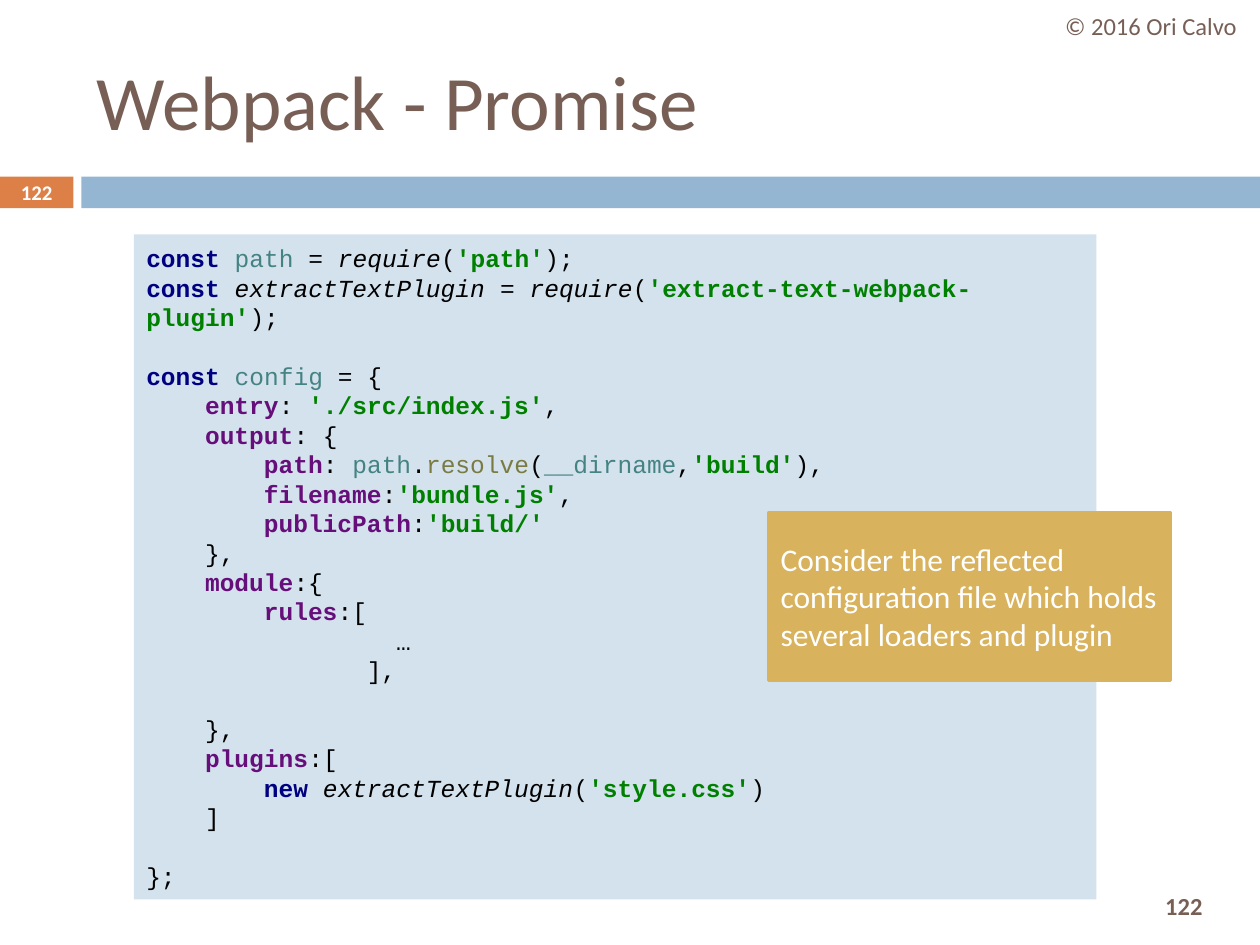
"""Build the slide showing a webpack configuration with a callout."""
from pptx import Presentation
from pptx.dml.color import RGBColor
from pptx.enum.shapes import MSO_SHAPE
from pptx.enum.text import MSO_ANCHOR, PP_ALIGN
from pptx.util import Pt

COLORS = {
    "brown": "775F55", "orange": "DD8047", "blue": "94B6D2", "white": "FFFFFF",
    "panel": "D4E2ED", "gold": "D8B25C", "black": "000000", "navy": "000080",
    "teal": "458383", "green": "008000", "purple": "660E7A", "olive": "7A7A43",
}
STYLES = {
    "keyword": ("navy", True, False),
    "variable": ("teal", False, False),
    "plain": ("black", False, False),
    "call": ("black", False, True),
    "string": ("green", True, False),
    "property": ("purple", True, False),
    "method": ("olive", False, False),
}
TITLE = "Webpack - Promise"
NUMBER = "122"
COPYRIGHT = "© 2016 Ori Calvo"
CALLOUT = "Consider the reflected configuration file which holds several loaders and plugin"
CODE_SIZE = 14
CHARACTER = 8.4
LINE = 16.8

# Each line: indent in characters, blank lines above, styled spans
CODE = [
    (0, 0, [("keyword", "const "), ("variable", "path "), ("plain", "= "),
            ("call", "require"), ("plain", "("), ("string", "'path'"), ("plain", ");")]),
    (0, 0, [("keyword", "const "), ("call", "extractTextPlugin "), ("plain", "= "),
            ("call", "require"), ("plain", "("),
            ("string", "'extract-text-webpack-plugin'"), ("plain", ");")]),
    (0, 1, [("keyword", "const "), ("variable", "config "), ("plain", "= {")]),
    (4, 0, [("property", "entry"), ("plain", ": "), ("string", "'./src/index.js'"),
            ("plain", ",")]),
    (4, 0, [("property", "output"), ("plain", ": {")]),
    (8, 0, [("property", "path"), ("plain", ": "), ("variable", "path"), ("plain", "."),
            ("method", "resolve"), ("plain", "("), ("variable", "__dirname"),
            ("plain", ","), ("string", "'build'"), ("plain", "),")]),
    (8, 0, [("property", "filename"), ("plain", ":"), ("string", "'bundle.js'"),
            ("plain", ",")]),
    (8, 0, [("property", "publicPath"), ("plain", ":"), ("string", "'build/'")]),
    (4, 0, [("plain", "},")]),
    (4, 0, [("property", "module"), ("plain", ":{")]),
    (8, 0, [("property", "rules"), ("plain", ":[")]),
    (17, 0, [("plain", "…")]),
    (15, 0, [("plain", "],")]),
    (4, 1, [("plain", "},")]),
    (4, 0, [("property", "plugins"), ("plain", ":[")]),
    (8, 0, [("keyword", "new "), ("call", "extractTextPlugin"), ("plain", "("),
            ("string", "'style.css'"), ("plain", ")")]),
    (4, 0, [("plain", "]")]),
    (0, 1, [("plain", "};")]),
]


def color(name):
    """Return the named colour."""
    return RGBColor.from_string(COLORS[name])


def add_block(slide, bounds, fill, outline=None):
    """Add a flat filled rectangle."""
    block = slide.shapes.add_shape(MSO_SHAPE.RECTANGLE, *map(Pt, bounds))
    block.shadow.inherit = False
    block.fill.solid()
    block.fill.fore_color.rgb = color(fill)
    if outline:
        block.line.color.rgb = color(outline)
        block.line.width = Pt(1.5)
    else:
        block.line.fill.background()
    return block


def format_span(span, font, size, name, bold=False, italic=False):
    """Set the font of one run."""
    span.font.name = font
    span.font.size = Pt(size)
    span.font.color.rgb = color(name)
    span.font.bold = bold
    span.font.italic = italic


def write(shape, text, size, name, align=PP_ALIGN.LEFT, bold=False):
    """Fill a shape with one vertically centred paragraph."""
    frame = shape.text_frame
    frame.word_wrap = True
    frame.vertical_anchor = MSO_ANCHOR.MIDDLE
    frame.text = text
    para = frame.paragraphs[0]
    para.alignment = align
    format_span(para.runs[0], "Calibri", size, name, bold)


def add_label(slide, bounds, text, size, name, bold):
    """Add a centred text box."""
    box = slide.shapes.add_textbox(*map(Pt, bounds))
    write(box, text, size, name, PP_ALIGN.CENTER, bold)


def write_code(panel):
    """Write the highlighted code, one paragraph per line."""
    frame = panel.text_frame
    frame.word_wrap = True
    frame.vertical_anchor = MSO_ANCHOR.MIDDLE
    for index, (indent, blanks, spans) in enumerate(CODE):
        para = frame.add_paragraph() if index else frame.paragraphs[0]
        para.alignment = PP_ALIGN.LEFT
        para.line_spacing = Pt(LINE)
        para.space_before = Pt(blanks * LINE)
        para._p.get_or_add_pPr().set("marL", str(Pt(indent * CHARACTER)))
        for style, text in spans:
            span = para.add_run()
            span.text = text
            format_span(span, "Courier New", CODE_SIZE, *STYLES[style])


def main():
    """Assemble and save the deck."""
    deck = Presentation()
    deck.slide_width, deck.slide_height = Pt(720), Pt(540)
    slide = deck.slides.add_slide(deck.slide_layouts[5])

    add_block(slide, (0, 101, 42, 18), "orange")
    add_block(slide, (46.5, 101, 673.5, 18), "blue")
    title = slide.shapes.title
    title.left, title.top, title.width, title.height = map(Pt, (48, 18, 642, 78))
    write(title, TITLE, 44, "brown")

    add_label(slide, (643.5, 502.5, 66, 30), NUMBER, 14, "brown", True)
    add_label(slide, (595.5, 0, 124.5, 29), COPYRIGHT, 14, "brown", False)
    add_label(slide, (0, 100, 42, 19.5), NUMBER, 11.9, "white", True)

    write_code(add_block(slide, (76.5, 134, 550, 380), "panel"))
    callout = add_block(slide, (439, 292.5, 230, 96.5), "gold", "gold")
    write(callout, CALLOUT, 18, "white")
    deck.save("out.pptx")


if __name__ == "__main__":
    main()
